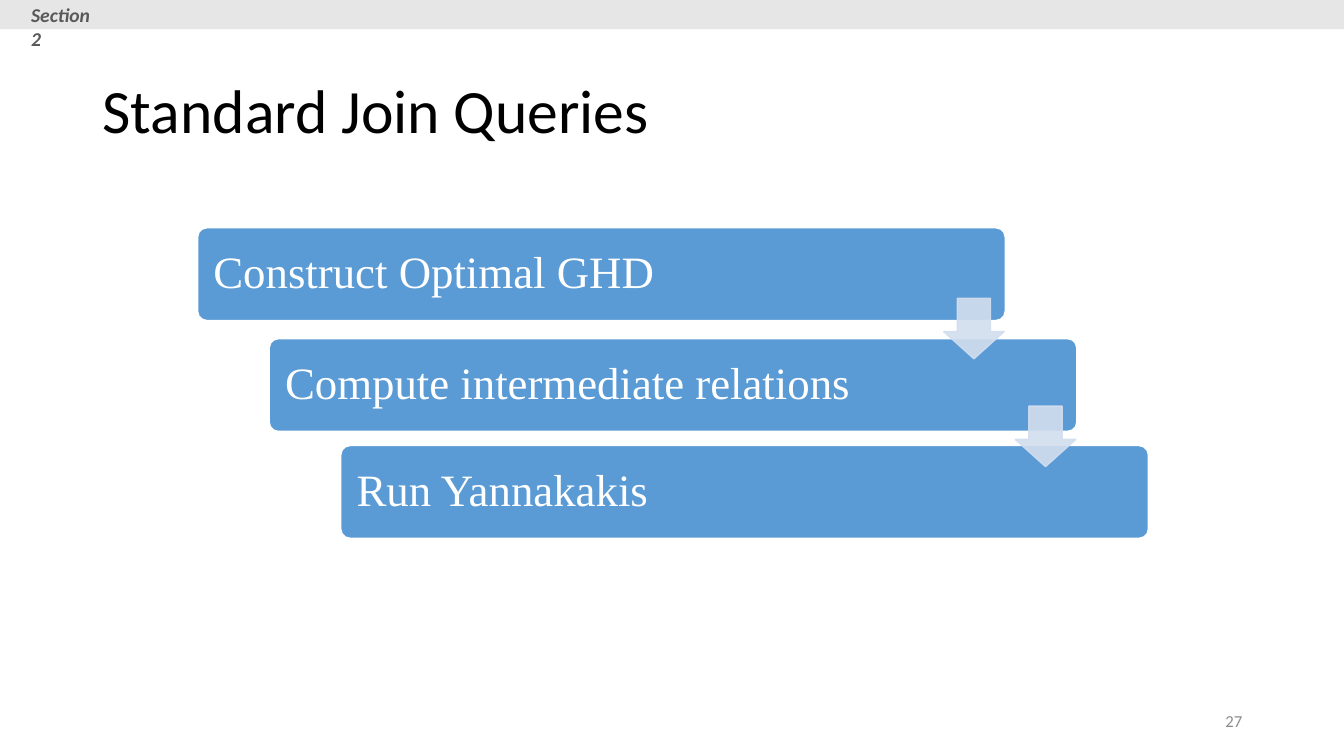
from lxml.etree import SubElement
from pptx import Presentation
from pptx.dml.color import RGBColor
from pptx.enum.shapes import MSO_SHAPE as Shape
from pptx.enum.text import MSO_ANCHOR as Anchor, PP_ALIGN as Align
from pptx.oxml.ns import qn
from pptx.util import Inches, Pt

BLACK = RGBColor(0x00, 0x00, 0x00)
WHITE = RGBColor(0xFF, 0xFF, 0xFF)
BLUE = RGBColor(0x5B, 0x9B, 0xD5)
PALE = RGBColor(0xD2, 0xDE, 0xEF)
BAND = RGBColor(0xE7, 0xE6, 0xE6)
DARK = RGBColor(0x59, 0x59, 0x59)
GREY = RGBColor(0x8C, 0x8C, 0x8C)

STEPS = [
    ("Construct Optimal GHD", 2.26),
    ("Compute intermediate relations", 3.36),
    ("Run Yannakakis", 4.42),
]
DROPS = [2.96, 4.03]
LEFT, SHIFT = 1.96, 0.71


class Deck:
    """Holds the fonts and current slide, and draws each kind of element."""

    def __init__(self):
        self.show = Presentation()
        self.show.slide_width = Inches(13.33)
        self.show.slide_height = Inches(7.5)
        self.slide = self.show.slides.add_slide(self.show.slide_layouts[6])
        self.sans = "Calibri"
        self.serif = "Times New Roman"

    def words(self, frame, text, size, color, font, bold=False, align=Align.LEFT,
              anchor=Anchor.MIDDLE, space=1.0):
        frame.word_wrap = True
        frame.vertical_anchor = anchor
        para = frame.paragraphs[0]
        para.alignment = align
        para.line_spacing = space
        run = para.add_run()
        run.text = text
        run.font.name = font
        run.font.size = Pt(size)
        run.font.color.rgb = color
        run.font.bold = run.font.italic = bold

    def label(self, box, text, size, color, **style):
        area = self.slide.shapes.add_textbox(*map(Inches, box))
        self.words(area.text_frame, text, size, color, self.sans, **style)

    def block(self, kind, box, fill, line=None, adjust=()):
        shape = self.slide.shapes.add_shape(kind, *map(Inches, box))
        shape.shadow.inherit = False
        shape.fill.solid()
        shape.fill.fore_color.rgb = fill
        if line is None:
            shape.line.fill.background()
        else:
            shape.line.color.rgb = line
            shape.line.width = Pt(1)
        for index, value in enumerate(adjust):
            shape.adjustments[index] = value
        return shape

    def step(self, left, top, text):
        shape = self.block(Shape.ROUNDED_RECTANGLE, (left, top, 8.01, 0.92),
                           BLUE, WHITE, [0.1])
        frame = shape.text_frame
        frame.margin_left = frame.margin_right = Inches(0.13)
        self.words(frame, text, 32, WHITE, self.serif, space=0.9)

    def arrow(self, left, top):
        shape = self.block(Shape.DOWN_ARROW, (left, top, 0.6, 0.6),
                           PALE, PALE, [0.55, 0.45])
        for color in shape.element.spPr.iter(qn("a:srgbClr")):
            SubElement(color, qn("a:alpha"), val="90000")


def main():
    deck = Deck()
    deck.label((9.42, 6.95, 3, 0.4), "27", 12, GREY, align=Align.RIGHT)
    deck.block(Shape.RECTANGLE, (0, 0, 13.33, 0.29), BAND)
    deck.label((0.21, -0.02, 0.92, 0.34), "Section 2", 14, DARK,
               bold=True, anchor=Anchor.TOP)
    deck.label((0.92, 0.4, 12.28, 1.45), "Standard Join Queries", 44, BLACK,
               space=0.9)
    for index, (text, top) in enumerate(STEPS):
        deck.step(LEFT + index * SHIFT, top, text)
    for index, top in enumerate(DROPS):
        deck.arrow(LEFT + 7.4 + index * SHIFT, top)
    deck.show.save("out.pptx")


if __name__ == "__main__":
    main()
